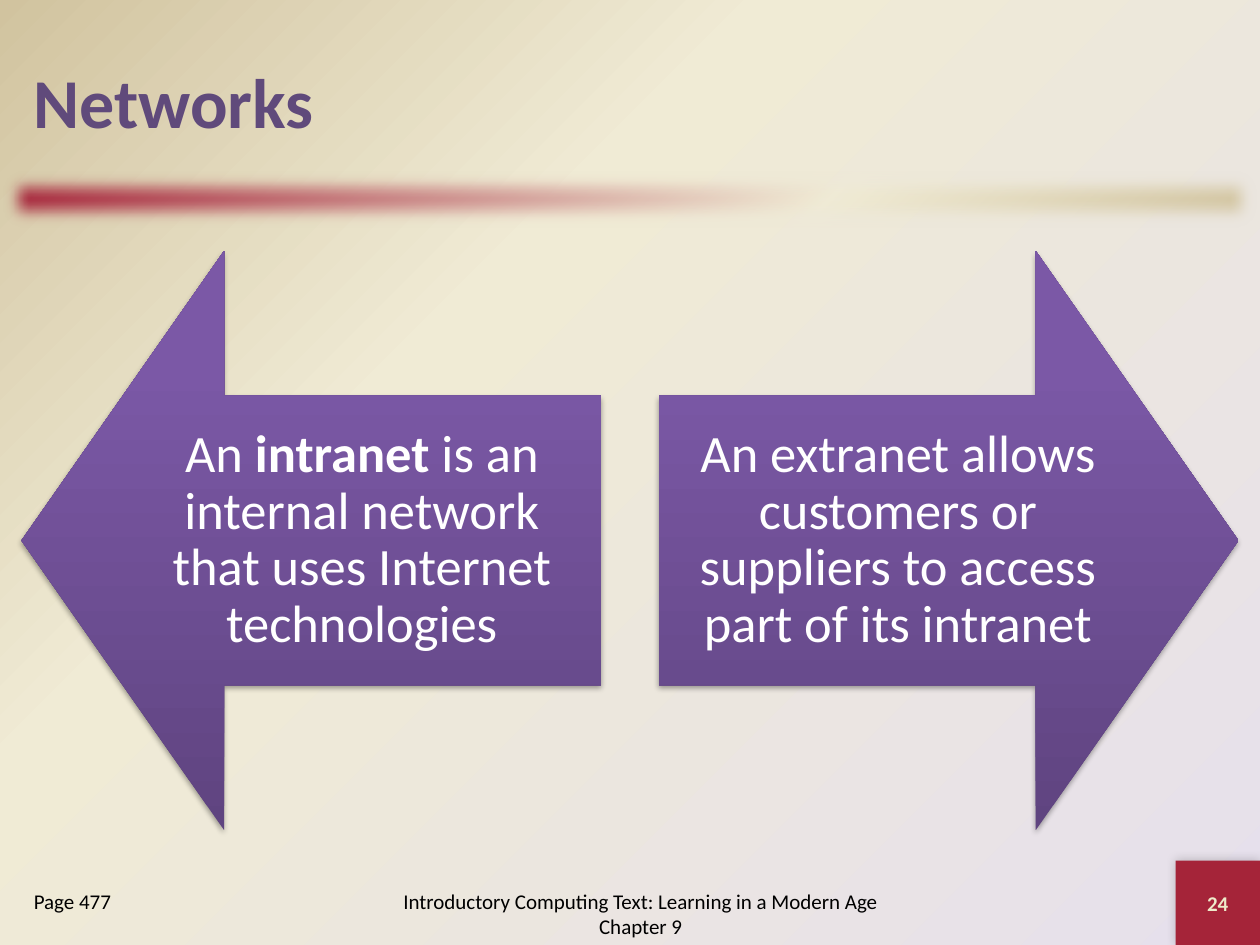
from lxml import etree
from pptx import Presentation, util as u
from pptx.dml.color import RGBColor
from pptx.enum import shapes, text
from pptx.oxml import ns

WIDE, HIGH = 10, 7.5
FONT = "Calibri"
RED = RGBColor(0xA5, 0x24, 0x39)
CREAM = RGBColor(0xF0, 0xEB, 0xD5)
TAN = RGBColor(0xD1, 0xC3, 0x9F)
LILAC = RGBColor(0xE6, 0xE0, 0xEC)
PLUM = RGBColor(0x60, 0x4A, 0x7B)
DARK = RGBColor(0x5F, 0x44, 0x80)
MID = RGBColor(0x7B, 0x58, 0xA6)
LIGHT = RGBColor(0x7C, 0x57, 0xA8)
WHITE = RGBColor(0xFF, 0xFF, 0xFF)
BLACK = RGBColor(0, 0, 0)
PALE = RGBColor(0xEE, 0xEB, 0xCA)
EDGE = 0.17
FOOT = 7
TILE = 0.67
ARROW = 4.6


def node(parent, tag, **attrs):
    """Append a DrawingML element to parent."""
    item = etree.SubElement(parent, ns.qn("a:" + tag))
    for key, value in attrs.items():
        item.set(key, str(value))
    return item


def blend(fill, root, stops, angle=None):
    """Give root a gradient: linear at an angle, or round from the lower right."""
    fill.solid()
    old = next(root.iter(ns.qn("a:solidFill")))
    grad = etree.Element(ns.qn("a:gradFill"), rotWithShape="1")
    steps = node(grad, "gsLst")
    for place, color in stops:
        stop = node(steps, "gs", pos=place * 1000)
        node(stop, "srgbClr", val=color)
    if angle is None:
        way = node(grad, "path", path="circle")
        node(way, "fillToRect", l=100000, t=100000)
    else:
        node(grad, "lin", ang=angle * 60000, scaled=0)
    old.getparent().replace(old, grad)


def shade(shape, alpha, blur, dist, angle):
    """Give a shape a soft black shadow."""
    glow = node(shape.shadow._element.find(ns.qn("a:effectLst")), "outerShdw",
                blurRad=u.Pt(blur), dist=u.Pt(dist), dir=angle * 60000,
                algn="ctr", rotWithShape=0)
    tint = node(glow, "srgbClr", val=BLACK)
    node(tint, "alpha", val=alpha * 1000)


def form(slide, kind, *box):
    """Add a preset shape with no line and no shadow."""
    shape = slide.shapes.add_shape(kind, *map(u.Inches, box))
    shape.shadow.inherit = False
    shape.line.fill.background()
    return shape


def write(shape, runs, size, color, align=text.PP_ALIGN.CENTER,
          anchor=text.MSO_ANCHOR.MIDDLE):
    """Fill a shape with one paragraph of (words, bold) runs."""
    frame = shape.text_frame
    frame.word_wrap = True
    frame.vertical_anchor = anchor
    para = frame.paragraphs[0]
    para.alignment = align
    for words, bold in runs:
        run = para.add_run()
        run.text = words
        font = run.font
        font.name, font.size, font.bold = FONT, u.Pt(size), bold
        font.color.rgb = color
    return frame


def label(slide, box, *style):
    """Add a text box."""
    shape = slide.shapes.add_textbox(*map(u.Inches, box))
    return write(shape, *style)


def arrow(slide, kind, left, runs):
    """Add a big purple arrow with its statement."""
    shape = form(slide, kind, left, 1.99, ARROW, ARROW)
    shape.adjustments[0], shape.adjustments[1] = 0.5, 0.35
    blend(shape.fill, shape._element.spPr,
          [(0, DARK), (80, MID), (100, LIGHT)], 270)
    shade(shape, 35, 3.1, 1.8, 90)
    frame = write(shape, runs, 30, WHITE)
    frame.margin_left = frame.margin_right = u.Inches(0.23)
    frame.margin_top = frame.margin_bottom = u.Inches(0.23)
    frame.paragraphs[0].line_spacing = 0.9


def band(slide):
    """Add the blurred band below the title."""
    shape = form(slide, shapes.MSO_SHAPE.RECTANGLE, 0, 1.33, WIDE, 0.5)
    blend(shape.fill, shape._element.spPr,
          [(0, RED), (65, CREAM), (100, TAN)], 45)
    node(shape._element.spPr.find(ns.qn("a:effectLst")), "softEdge",
         rad=u.Pt(10))


def tile(slide):
    """Add the page number in the lower right corner."""
    shape = form(slide, shapes.MSO_SHAPE.RECTANGLE,
                 WIDE - TILE, HIGH - TILE, TILE, TILE)
    shape.fill.solid()
    shape.fill.fore_color.rgb = RED
    shade(shape, 20, 6, 0, 225)
    write(shape, [("24", True)], 12, PALE)


def main():
    """Build the slide and save it."""
    deck = Presentation()
    deck.slide_width, deck.slide_height = u.Inches(WIDE), u.Inches(HIGH)
    slide = deck.slides.add_slide(deck.slide_layouts[6])
    blend(slide.background.fill, slide._element.cSld,
          [(0, LILAC), (65, CREAM), (100, TAN)])
    band(slide)
    left = text.PP_ALIGN.LEFT
    label(slide, (EDGE, EDGE, WIDE - 2 * EDGE, 1.25),
          [("Networks", True)], 40, PLUM, left)
    arrow(slide, shapes.MSO_SHAPE.LEFT_ARROW, EDGE,
          [("An ", False), ("intranet ", True),
           ("is an internal network that uses Internet technologies", False)])
    arrow(slide, shapes.MSO_SHAPE.RIGHT_ARROW, WIDE - EDGE - ARROW,
          [("An extranet allows customers or suppliers to access "
            "part of its intranet", False)])
    label(slide, (EDGE, FOOT, 1.83, 0.5), [("Page 477", False)],
          12, BLACK, left, text.MSO_ANCHOR.TOP)
    label(slide, (3, FOOT, 4.17, 0.5),
          [("Introductory Computing Text: Learning in a Modern Age Chapter 9",
            False)], 12, BLACK)
    tile(slide)
    deck.save("out.pptx")


if __name__ == "__main__":
    main()
